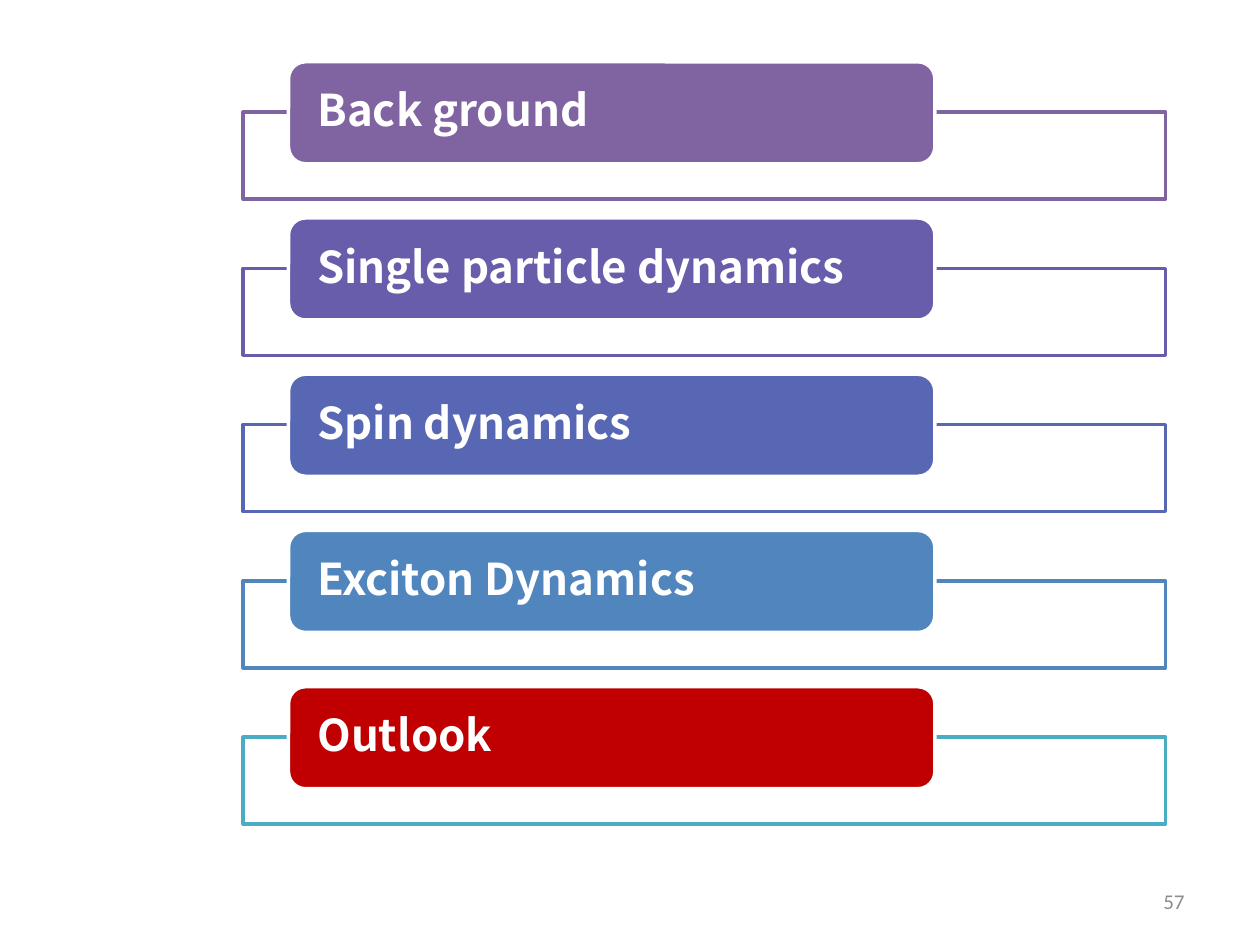
from pptx import Presentation
from pptx.dml.color import RGBColor as RGB
from pptx.enum.shapes import MSO_SHAPE as SHAPE
from pptx.enum.text import MSO_ANCHOR as ANCHOR, PP_ALIGN as ALIGN
from pptx.util import Inches, Pt

WHITE = RGB(0xFF, 0xFF, 0xFF)
GREY = RGB(0x8C, 0x8C, 0x8C)
PURPLE = RGB(0x80, 0x64, 0xA2)
VIOLET = RGB(0x68, 0x5D, 0xAB)
INDIGO = RGB(0x57, 0x67, 0xB4)
BLUE = RGB(0x51, 0x85, 0xBD)
TEAL = RGB(0x4B, 0xAC, 0xC6)
RED = RGB(0xC0, 0x00, 0x00)

TOPICS = [
    ("Back ground", PURPLE, PURPLE),
    ("Single particle dynamics", VIOLET, VIOLET),
    ("Spin dynamics", INDIGO, INDIGO),
    ("Exciton Dynamics", BLUE, BLUE),
    ("Outlook", RED, TEAL),
]
TOP, STEP = 0.49, 1.24
LABEL = {"size": Pt(25), "bold": True, "name": "Noto Sans CJK SC"}
NUMBER = {"size": Pt(12), "name": "Calibri"}


def add_box(kind, left, top, width, height, fill, line):
    box = slide.shapes.add_shape(
        kind, Inches(left), Inches(top), Inches(width), Inches(height))
    box.shadow.inherit = False
    box.fill.solid()
    box.fill.fore_color.rgb = fill
    box.line.color.rgb = line
    box.line.width = Pt(2)
    return box


def write(box, text, align, style, color):
    frame = box.text_frame
    frame.word_wrap = True
    frame.vertical_anchor = ANCHOR.MIDDLE
    para = frame.paragraphs[0]
    para.alignment = align
    run = para.add_run()
    run.text = text
    for key, value in style.items():
        setattr(run.font, key, value)
    run.font.color.rgb = color
    return para


deck = Presentation()
deck.slide_width, deck.slide_height = Inches(10), Inches(7.5)
slide = deck.slides.add_slide(deck.slide_layouts[6])

page = slide.shapes.add_textbox(Inches(7.17), Inches(6.95), Inches(2.33), Inches(0.4))
write(page, "57", ALIGN.RIGHT, NUMBER, GREY)

for row, (topic, fill, edge) in enumerate(TOPICS):
    top = TOP + row * STEP
    add_box(SHAPE.RECTANGLE, 1.93, top + 0.4, 7.32, 0.69, WHITE, edge)
    tab = add_box(SHAPE.ROUNDED_RECTANGLE, 2.29, top, 5.13, 0.81, fill, WHITE)
    frame = tab.text_frame
    frame.margin_left = frame.margin_right = Inches(0.19)
    frame.margin_top = frame.margin_bottom = 0
    para = write(tab, topic, ALIGN.LEFT, LABEL, WHITE)
    para.line_spacing = 0.9
    para.space_after = Pt(9)

deck.save("out.pptx")
